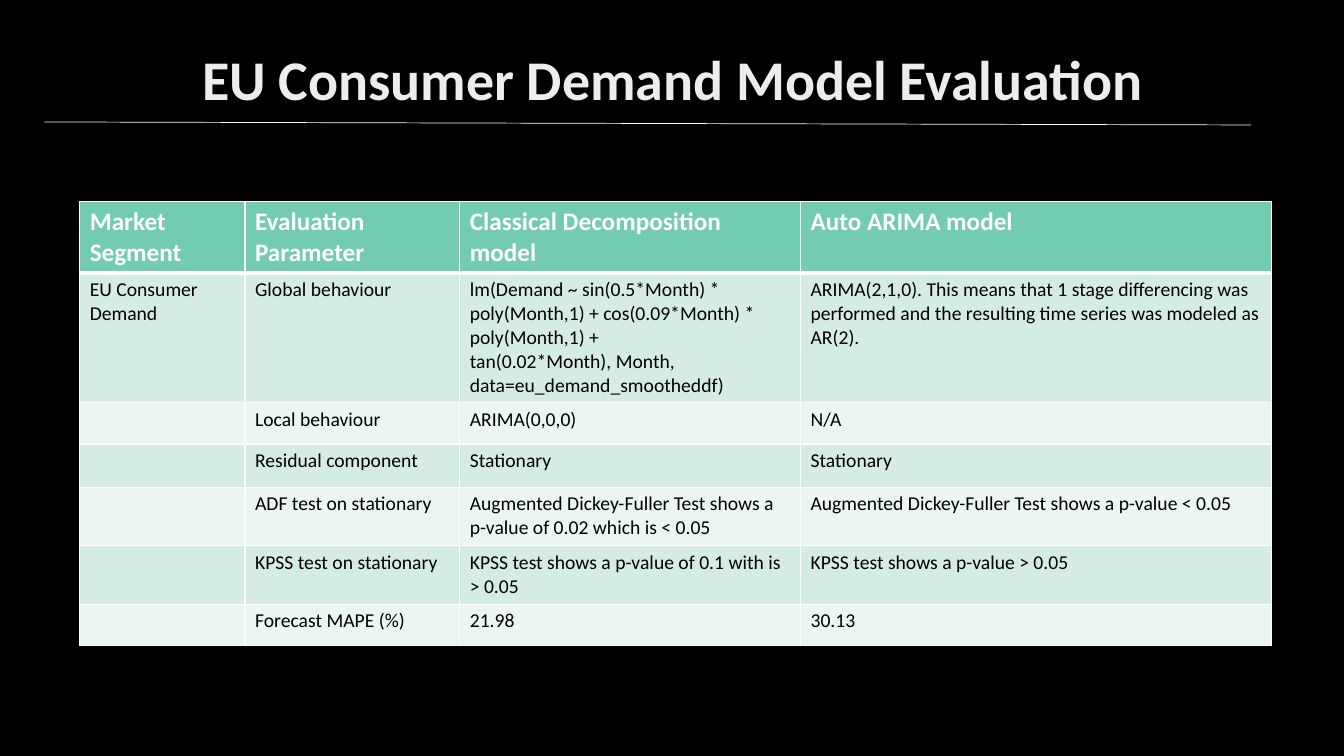
from dataclasses import dataclass
from pptx import Presentation
from pptx import oxml
from pptx import util as u
from pptx.dml import color
from pptx.enum import shapes, text
from pptx.oxml import ns

TITLE = "EU Consumer Demand Model Evaluation"
ROWS = [
    ("Market Segment", "Evaluation Parameter", "Classical Decomposition model", "Auto ARIMA model"),
    ("EU Consumer Demand", "Global behaviour",
     "lm(Demand ~ sin(0.5*Month) * poly(Month,1) + cos(0.09*Month) * poly(Month,1) +\v"
     "tan(0.02*Month), Month, data=eu_demand_smootheddf)",
     "ARIMA(2,1,0). This means that 1 stage differencing was performed "
     "and the resulting time series was modeled as AR(2)."),
    ("", "Local behaviour", "ARIMA(0,0,0)", "N/A"),
    ("", "Residual component", "Stationary", "Stationary"),
    ("", "ADF test on stationary",
     "Augmented Dickey-Fuller Test shows a p-value of 0.02 which is < 0.05",
     "Augmented Dickey-Fuller Test shows a p-value < 0.05"),
    ("", "KPSS test on stationary", "KPSS test shows a p-value of 0.1 with is > 0.05",
     "KPSS test shows a p-value > 0.05"),
    ("", "Forecast MAPE (%)", "21.98", "30.13"),
]
WIDTHS = [1.64, 2.13, 3.38, 4.67]
HEIGHTS = [0.7, 1.28, 0.41, 0.43, 0.58, 0.58, 0.41]


@dataclass
class Theme:
    face: str = "Calibri"
    back: str = "000000"
    ink: str = "000000"
    line: str = "FFFFFF"
    head: str = "73CBB2"
    bands: tuple = ("D5ECE4", "EBF6F2")
    shine: tuple = ((0, "DEDEDE"), (28, "EDEDED"), (100, "FFFFFF"))
    big: int = 40
    mid: int = 18
    small: int = 14


theme = Theme()


def rgb(code):
    return color.RGBColor.from_string(code)


def shade(run):
    stops = "".join(f'<a:gs pos="{pos * 1000}"><a:srgbClr val="{code}"/></a:gs>'
                    for pos, code in theme.shine)
    fill = oxml.parse_xml(f'<a:gradFill {ns.nsdecls("a")}><a:gsLst>{stops}</a:gsLst>'
                          f'<a:lin ang="{80 * 60000}" scaled="0"/></a:gradFill>')
    run.font._element.insert(0, fill)


def edge(cell, row):
    props = cell._tc.get_or_add_tcPr()
    for side in "LRTB":
        thick = (row, side) in ((0, "B"), (1, "T"))
        props.append(oxml.parse_xml(
            f'<a:ln{side} {ns.nsdecls("a")} w="{u.Pt(3 if thick else 1)}"><a:solidFill>'
            f'<a:srgbClr val="{theme.line}"/></a:solidFill></a:ln{side}>'))


def add_title(slide):
    title = slide.shapes.title
    title.left, title.top, title.width, title.height = map(u.Inches, (0.92, 0.4, 11.5, 1.45))
    frame = title.text_frame
    frame.text = TITLE
    frame.word_wrap = True
    frame.auto_size = text.MSO_AUTO_SIZE.NONE
    frame.vertical_anchor = text.MSO_ANCHOR.TOP
    frame.margin_top = u.Inches(0.12)
    para = frame.paragraphs[0]
    para.alignment = text.PP_ALIGN.CENTER
    para.line_spacing = 0.9
    run = para.runs[0]
    run.font.name, run.font.size, run.font.bold = theme.face, u.Pt(theme.big), True
    shade(run)


def add_grid(slide):
    table = slide.shapes.add_table(
        len(ROWS), len(WIDTHS), u.Inches(0.79), u.Inches(2),
        u.Inches(sum(WIDTHS)), u.Inches(sum(HEIGHTS))).table
    for col, width in zip(table.columns, WIDTHS):
        col.width = u.Inches(width)
    for row, height in zip(table.rows, HEIGHTS):
        row.height = u.Inches(height)
    for r, row in enumerate(ROWS):
        top = r == 0
        for c, words in enumerate(row):
            cell = table.cell(r, c)
            edge(cell, r)
            cell.fill.solid()
            cell.fill.fore_color.rgb = rgb(theme.head if top else theme.bands[(r - 1) % 2])
            cell.text_frame.text = words
            font = cell.text_frame.paragraphs[0].font
            font.name, font.bold = theme.face, top
            font.size = u.Pt(theme.mid if top else theme.small)
            font.color.rgb = rgb(theme.line if top else theme.ink)


def add_rule(slide):
    rule = slide.shapes.add_connector(
        shapes.MSO_CONNECTOR.STRAIGHT, *map(u.Inches, (0.44, 1.21, 12.41, 1.24)))
    rule.line.color.rgb = rgb(theme.line)
    rule.line.width = u.Pt(0.5)
    rule._element.spPr.append(oxml.parse_xml(f'<a:effectLst {ns.nsdecls("a")}/>'))


def main():
    deck = Presentation()
    deck.slide_width, deck.slide_height = u.Inches(13.33), u.Inches(7.5)
    slide = deck.slides.add_slide(deck.slide_layouts[5])
    slide.background.fill.solid()
    slide.background.fill.fore_color.rgb = rgb(theme.back)
    add_title(slide)
    add_grid(slide)
    add_rule(slide)
    deck.save("out.pptx")


if __name__ == "__main__":
    main()
